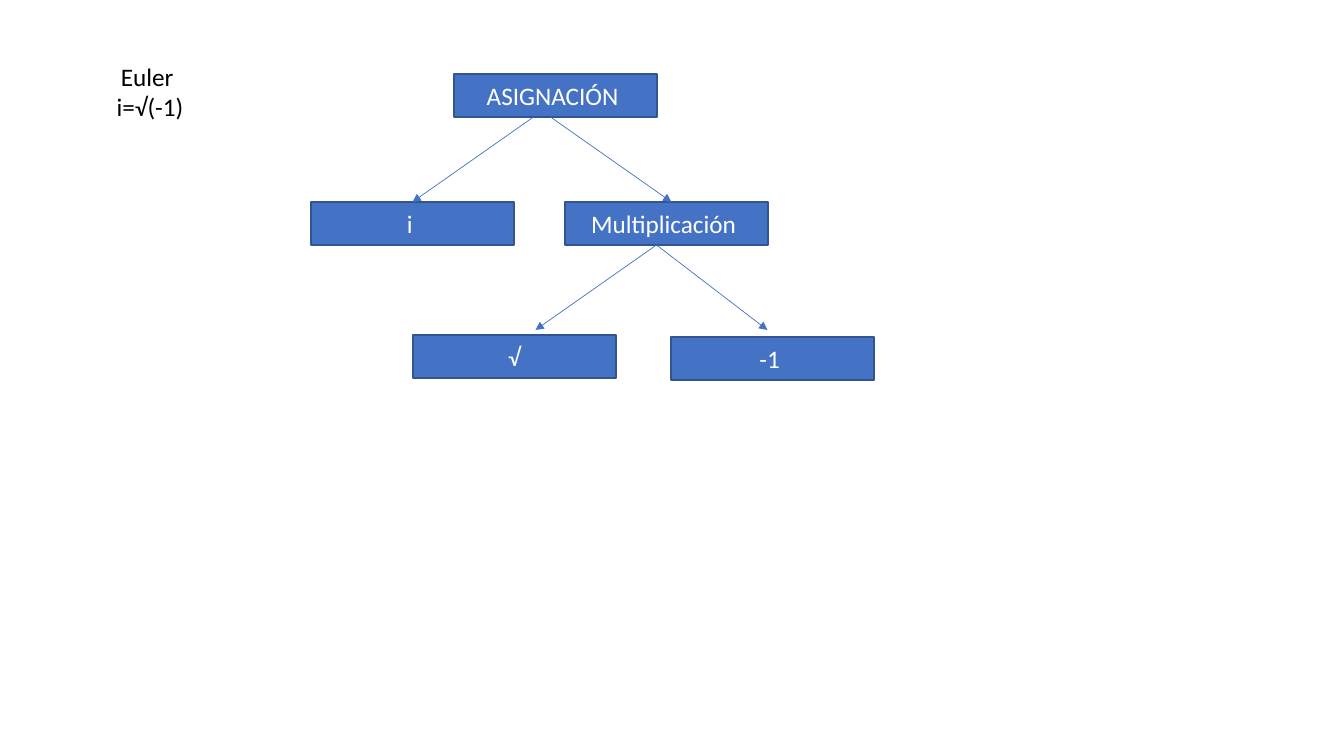
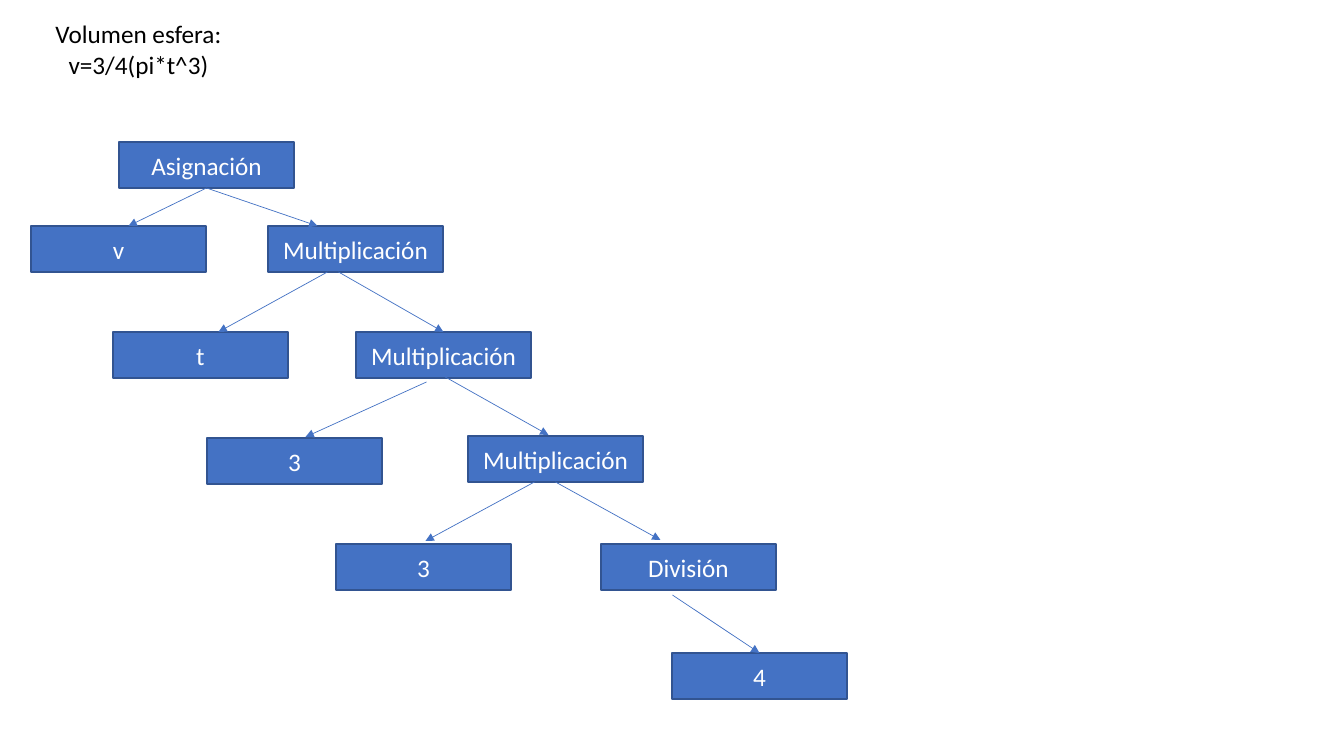
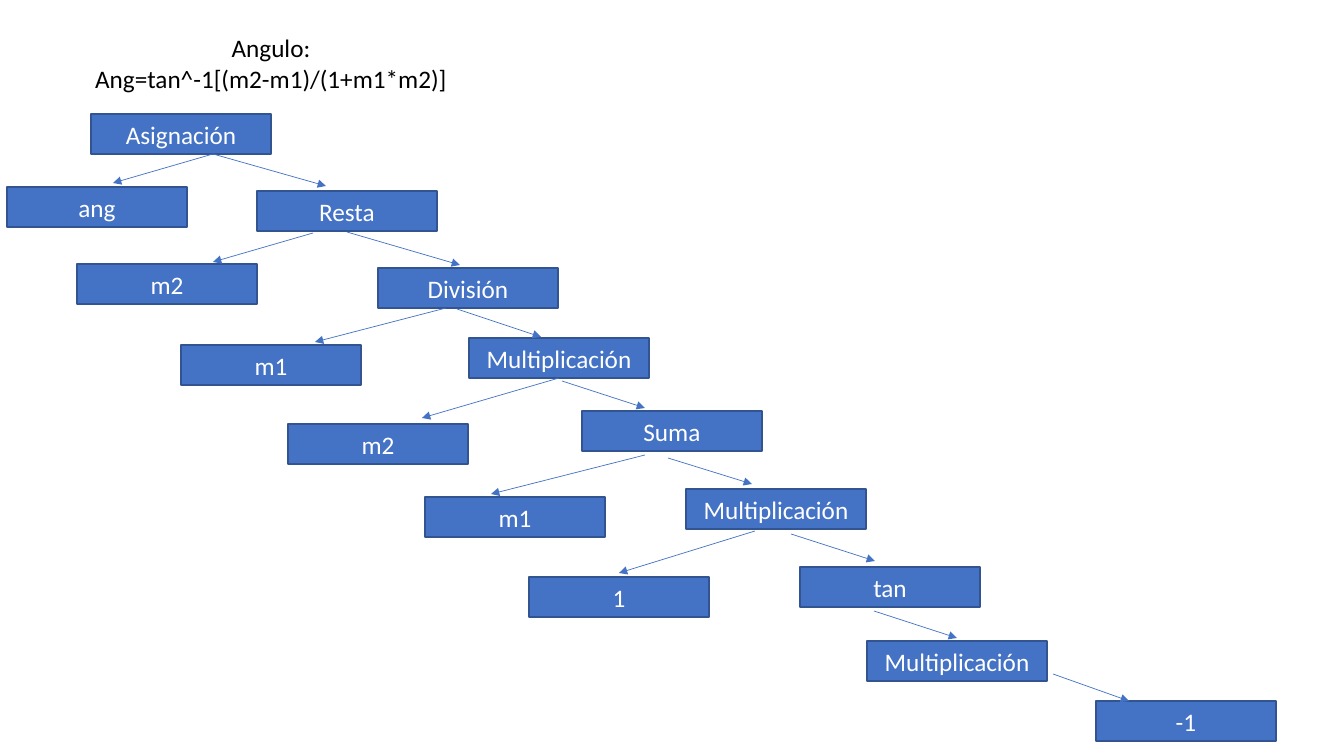
from pptx import Presentation
from pptx.dml.color import RGBColor
from pptx.enum import dml, shapes, text
from pptx.oxml import ns, xmlchemy
from pptx.util import Emu, Pt

PIXEL = 914400 / 100.8
BLUE = RGBColor(0x44, 0x72, 0xC4)
OUTLINE = RGBColor(0x32, 0x54, 0x91)
WHITE = RGBColor(0xFF, 0xFF, 0xFF)
BLACK = RGBColor(0x00, 0x00, 0x00)
FONT = {"name": "Calibri", "size": Pt(18), "bold": False}
FRAME = {"word_wrap": True, "auto_size": text.MSO_AUTO_SIZE.NONE,
         "vertical_anchor": text.MSO_ANCHOR.MIDDLE}

# Each child: label, offset from parent, arrow start shift, arrow end shift.
EULER = [
    [("i ", (-143, 128), (-22, 0), (0, 0)),
     ("Multiplicación ", (111, 128), (-5, 0), (5, 0))],
    [("√", (-152, 133), (-10, 0), (21, -5)),
     ("-1 ", (106, 135), (-10, 0), (-5, -7))],
]
SPHERE = [
    [("v", (-88, 84), (0, 0), (10, 0)),
     ("Multiplicación", (149, 84), (0, 0), (-38, 0))],
    [("t", (-155, 106), (-28, 0), (18, 0)),
     ("Multiplicación", (88, 106), (-17, 0), (0, 0))],
    [("3", (-149, 106), (-17, 4), (11, -1)),
     ("Multiplicación", (112, 104), (0, -2), (-7, -1))],
    [("3", (-132, 108), (-21, 0), (2, -3)),
     ("División", (133, 108), (0, 0), (-28, -4))],
    [("4", (71, 109), (-16, 5), (0, 0))],
]
ANGLE = [
    [("ang", (-84, 73), (32, 0), (16, -4)),
     ("Resta", (166, 77), (32, 0), (-21, -5))],
    [("m2", (-180, 73), (-34, 2), (46, -2)),
     ("División", (121, 77), (0, 1), (-8, -3))],
    [("m1", (-197, 77), (-22, 0), (44, -3)),
     ("Multiplicación", (91, 70), (-11, 1), (-18, -1))],
    [("m2", (-181, 86), (0, 0), (44, -6)),
     ("Suma", (113, 73), (3, 3), (-27, -3))],
    [("m1", (-157, 86), (-27, 4), (-24, -3)),
     ("Multiplicación", (104, 78), (-4, 7), (-24, -5))],
    [("1", (-157, 88), (-21, 2), (0, -4)),
     ("tan", (114, 78), (15, 5), (-15, -6))],
    [("Multiplicación", (67, 74), (-16, 4), (0, -3))],
    [("-1", (229, 60), (96, -7), (-57, 0))],
]


def px(*lengths):
    """Turn pixel lengths into EMU."""
    return [Emu(round(length * PIXEL)) for length in lengths]


def assign(target, values):
    """Set every attribute named in the format values."""
    for name, value in values.items():
        setattr(target, name, value)


def write(shape, wording, color):
    """Put centred, formatted wording into a shape."""
    frame = shape.text_frame
    frame.text = wording
    assign(frame, FRAME)
    for paragraph in frame.paragraphs:
        paragraph.alignment = text.PP_ALIGN.CENTER
        assign(paragraph.font, FONT)
        paragraph.font.color.rgb = color


def add_formula(slide, box, wording):
    """Place the formula in the title placeholder."""
    title = slide.shapes.title
    assign(title, dict(zip(("left", "top", "width", "height"), px(*box))))
    write(title, wording, BLACK)


def add_node(slide, box, label):
    """Draw one operator or operand."""
    node = slide.shapes.add_shape(shapes.MSO_SHAPE.RECTANGLE, *px(*box))
    node.shadow.inherit = False
    node.fill.solid()
    node.fill.fore_color.rgb = BLUE
    node.line.color.rgb = OUTLINE
    node.line.width = Pt(1)
    write(node, label, WHITE)


def add_arrow(slide, start, end):
    """Draw a thin arrow from parent to child."""
    arrow = slide.shapes.add_connector(
        shapes.MSO_CONNECTOR.STRAIGHT, *px(*start, *end))
    arrow.line.fill.solid()
    arrow.line.color.rgb = BLUE
    arrow.line.width = Pt(0.5)
    properties = arrow._element.spPr
    head = xmlchemy.OxmlElement("a:tailEnd")
    head.set("type", "triangle")
    properties.find(ns.qn("a:ln")).append(head)
    properties.append(xmlchemy.OxmlElement("a:effectLst"))


def add_tree(slide, root_box, root, levels):
    """Grow a tree from its root box; each level hangs from the last node above."""
    left, top, width, height = root_box
    add_node(slide, root_box, root)
    for level in levels:
        parent_left, parent_top = left, top
        for label, offset, start, end in level:
            left, top = parent_left + offset[0], parent_top + offset[1]
            add_node(slide, (left, top, width, height), label)
            add_arrow(slide,
                      (parent_left + width / 2 + start[0],
                       parent_top + height + start[1]),
                      (left + width / 2 + end[0], top + end[1]))


def add_tree_slide(deck, formula_box, formula, root_box, root, levels):
    """Add a slide with a formula and its syntax tree."""
    slide = deck.slides.add_slide(deck.slide_layouts[5])
    add_formula(slide, formula_box, formula)
    add_tree(slide, root_box, root, levels)


deck = Presentation()
deck.slide_width, deck.slide_height = px(1344, 756)
add_tree_slide(deck, (39, 66, 222, 51), "Euler \ni=√(-1)",
               (454, 74, 203, 43), "ASIGNACIÓN ", EULER)
add_tree_slide(deck, (41, 20, 195, 58), "Volumen esfera:\nv=3/4(pi*t^3)",
               (119, 142, 175, 46), "Asignación", SPHERE)
add_tree_slide(deck, (43, 34, 456, 58),
               "Angulo:\nAng=tan^-1[(m2-m1)/(1+m1*m2)]",
               (91, 114, 180, 40), "Asignación", ANGLE)
deck.save("out.pptx")
